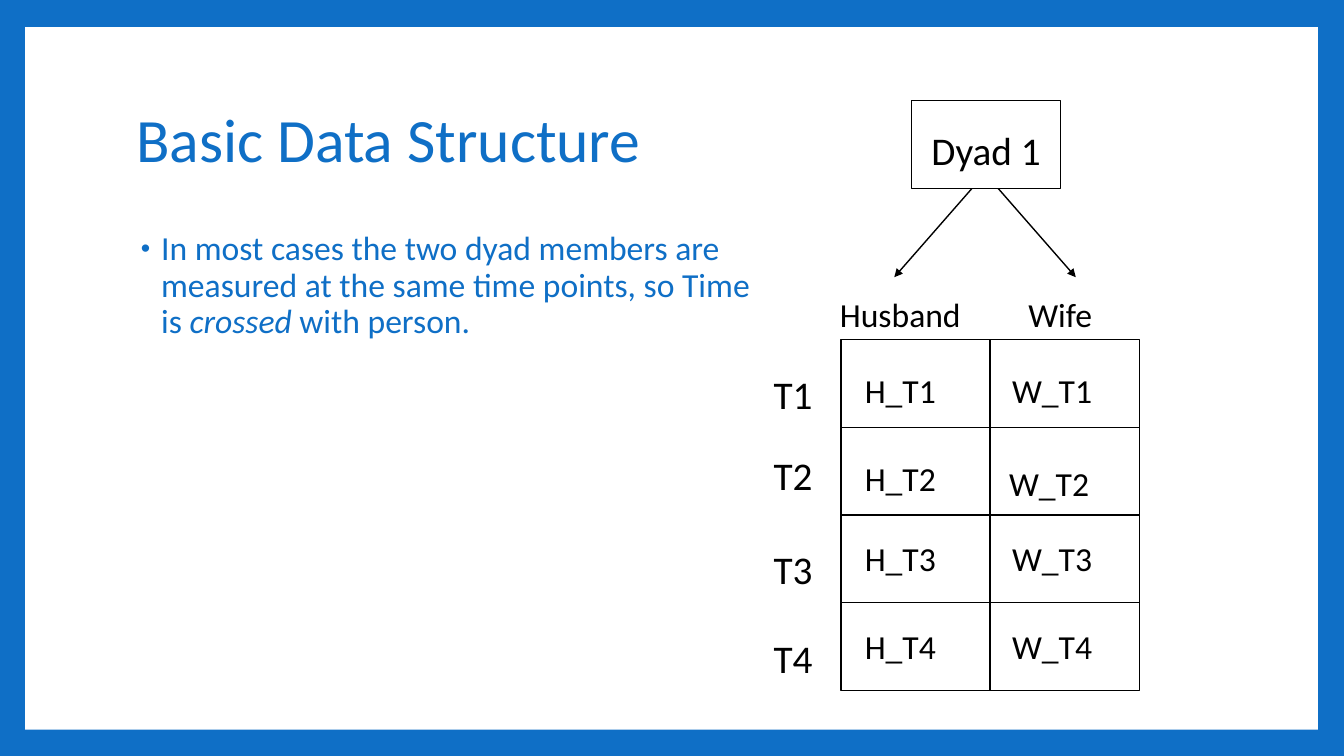
from dataclasses import dataclass
from typing import Any

import pptx
import pptx.dml.color
import pptx.enum.shapes
import pptx.enum.text
import pptx.oxml
import pptx.oxml.ns
import pptx.util

Inches = pptx.util.Inches
Pt = pptx.util.Pt

COLORS = {"blue": "0F6FC6", "white": "FFFFFF", "black": "000000"}
FONT = "Calibri"
CELL_WIDTH, CELL_HEIGHT = 1.48, 0.87
GRID_LEFT, GRID_TOP = 8.34, 3.37
DYAD_LEFT, DYAD_TOP = 9.04, 1.0
ARROW_TOP, ARROW_BOTTOM = 1.87, 2.75


@dataclass
class Label:
    text: str
    left: float
    top: float
    width: float
    size: int = 24
    wrap: bool = False


@dataclass
class Arrow:
    start_x: float
    end_x: float


@dataclass
class TimePoint:
    """Tops of the time, husband and wife labels in one row."""
    time_top: float
    husband_top: float
    wife_top: float
    wife_left: float = 9.93


TIME_POINTS = [
    TimePoint(3.62, 3.62, 3.62),
    TimePoint(4.43, 4.49, 4.54, 9.9),
    TimePoint(5.36, 5.29, 5.29),
    TimePoint(6.24, 6.16, 6.16),
]
HEADINGS = [
    Label("Dyad 1", DYAD_LEFT, 1.2, CELL_WIDTH, 28, True),
    Label("Husband", 8.21, 2.87, 1.44),
    Label("Wife", 10.09, 2.87, 0.85),
]
ARROWS = [Arrow(9.64, 8.87), Arrow(9.9, 10.67)]


def rgb(name: str) -> pptx.dml.color.RGBColor:
    return pptx.dml.color.RGBColor.from_string(COLORS[name])


def apply_format(target: Any, values: dict[str, Any]) -> None:
    for attribute, value in values.items():
        setattr(target, attribute, value)


def add_run(paragraph: Any, text: str, size: int, color: str, italic: bool = False) -> None:
    run = paragraph.add_run()
    run.text = text
    apply_format(run.font, {"name": FONT, "size": Pt(size), "italic": italic})
    run.font.color.rgb = rgb(color)


def add_panel(slide: Any) -> None:
    """Place the white page area behind the title."""
    panel = slide.shapes.add_shape(
        pptx.enum.shapes.MSO_SHAPE.RECTANGLE,
        Inches(0.25), Inches(0.27), Inches(12.82), Inches(6.97))
    panel.shadow.inherit = False
    panel.fill.solid()
    panel.fill.fore_color.rgb = rgb("white")
    panel.line.fill.background()
    slide.shapes.title.element.addprevious(panel.element)


def format_title(slide: Any) -> None:
    title = slide.shapes.title
    apply_format(title, {"left": Inches(1.25), "top": Inches(0.67),
                         "width": Inches(10.8), "height": Inches(1.48)})
    title.text_frame.vertical_anchor = pptx.enum.text.MSO_ANCHOR.MIDDLE
    paragraph = title.text_frame.paragraphs[0]
    apply_format(paragraph, {"alignment": pptx.enum.text.PP_ALIGN.LEFT, "line_spacing": 0.9})
    add_run(paragraph, "Basic Data Structure", 44, "blue")


def add_explanation(slide: Any) -> None:
    explanation = slide.shapes.add_textbox(
        Inches(1.25), Inches(2.25), Inches(6.31), Inches(4.42))
    explanation.text_frame.word_wrap = True
    paragraph = explanation.text_frame.paragraphs[0]
    apply_format(paragraph, {"line_spacing": 0.9, "space_before": Pt(14)})
    add_run(paragraph, "In most cases the two dyad members are measured at the same "
                       "time points, so Time is ", 24, "blue")
    add_run(paragraph, "crossed ", 24, "blue", italic=True)
    add_run(paragraph, "with person.", 24, "blue")

    properties = paragraph._p.get_or_add_pPr()
    properties.set("marL", str(Inches(0.25)))
    properties.set("indent", str(Inches(-0.2)))
    namespace = pptx.oxml.ns.nsdecls("a")
    for bullet_xml in (
        f'<a:buClr {namespace}><a:srgbClr val="{COLORS["blue"]}"/></a:buClr>',
        f'<a:buSzPct {namespace} val="80000"/>',
        f'<a:buFont {namespace} typeface="Arial"/>',
        f'<a:buChar {namespace} char="•"/>',
    ):
        properties.append(pptx.oxml.parse_xml(bullet_xml))


def add_cell(slide: Any, left: float, top: float) -> None:
    cell = slide.shapes.add_shape(
        pptx.enum.shapes.MSO_SHAPE.RECTANGLE,
        Inches(left), Inches(top), Inches(CELL_WIDTH), Inches(CELL_HEIGHT))
    cell.shadow.inherit = False
    cell.fill.background()
    cell.line.color.rgb = rgb("black")
    cell.line.width = Pt(1)


def add_label(slide: Any, label: Label) -> None:
    height = 0.57 if label.size == 28 else 0.5
    box = slide.shapes.add_textbox(
        Inches(label.left), Inches(label.top), Inches(label.width), Inches(height))
    apply_format(box.text_frame, {
        "word_wrap": label.wrap,
        "auto_size": pptx.enum.text.MSO_AUTO_SIZE.SHAPE_TO_FIT_TEXT})
    paragraph = box.text_frame.paragraphs[0]
    paragraph.alignment = pptx.enum.text.PP_ALIGN.CENTER
    add_run(paragraph, label.text, label.size, "black")


def add_arrow(slide: Any, arrow: Arrow) -> None:
    connector = slide.shapes.add_connector(
        pptx.enum.shapes.MSO_CONNECTOR.STRAIGHT,
        Inches(arrow.start_x), Inches(ARROW_TOP), Inches(arrow.end_x), Inches(ARROW_BOTTOM))
    connector.line.color.rgb = rgb("black")
    connector.line.width = Pt(1)
    namespace = pptx.oxml.ns.nsdecls("a")
    properties = connector.element.spPr
    properties.find(pptx.oxml.ns.qn("a:ln")).append(
        pptx.oxml.parse_xml(f'<a:tailEnd {namespace} type="triangle"/>'))
    properties.append(pptx.oxml.parse_xml(f"<a:effectLst {namespace}/>"))


def add_dyad_diagram(slide: Any) -> None:
    add_cell(slide, DYAD_LEFT, DYAD_TOP)
    for heading in HEADINGS:
        add_label(slide, heading)
    for arrow in ARROWS:
        add_arrow(slide, arrow)
    for row, point in enumerate(TIME_POINTS):
        for column in range(2):
            add_cell(slide, GRID_LEFT + column * CELL_WIDTH, GRID_TOP + row * CELL_HEIGHT)
        time = f"T{row + 1}"
        for label in (
            Label(time, 7.56, point.time_top, 0.61, 28),
            Label(f"H_{time}", 8.46, point.husband_top, 0.94),
            Label(f"W_{time}", point.wife_left, point.wife_top, 1.01),
        ):
            add_label(slide, label)


def main() -> None:
    presentation = pptx.Presentation()
    apply_format(presentation, {"slide_width": Inches(13.33), "slide_height": Inches(7.5)})
    slide = presentation.slides.add_slide(presentation.slide_layouts[5])
    slide.background.fill.solid()
    slide.background.fill.fore_color.rgb = rgb("blue")
    add_panel(slide)
    format_title(slide)
    add_explanation(slide)
    add_dyad_diagram(slide)
    presentation.save("out.pptx")


if __name__ == "__main__":
    main()
